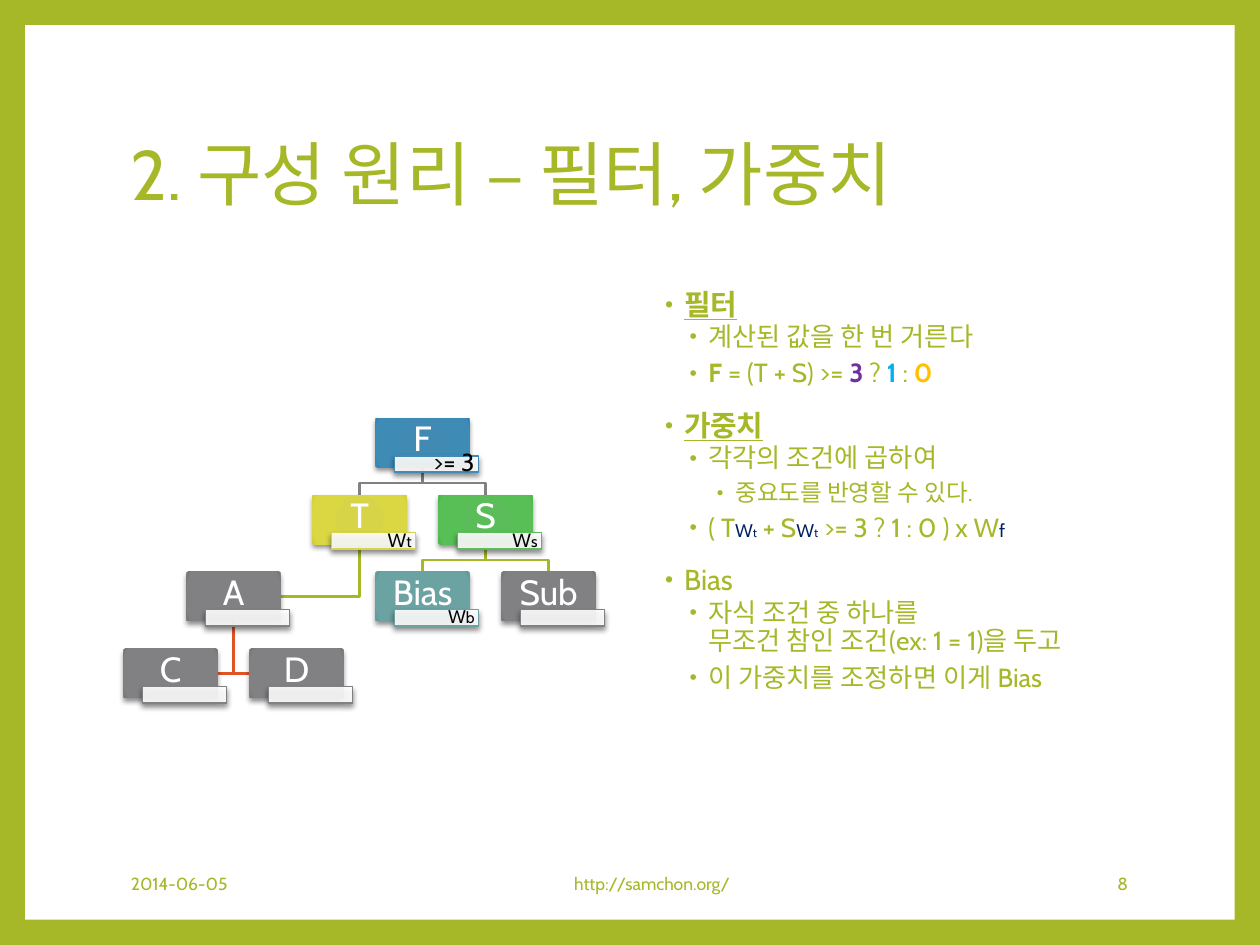
"""Build the slide on filters and weights: a condition tree beside a bulleted list."""
from dataclasses import dataclass

from lxml.etree import SubElement
from pptx import Presentation
from pptx.dml.color import RGBColor
from pptx.enum.shapes import MSO_SHAPE
from pptx.enum.text import MSO_ANCHOR, MSO_AUTO_SIZE, PP_ALIGN
from pptx.oxml.ns import qn
from pptx.util import Cm, Pt

FONT = "Cabin"
GREEN = RGBColor(0xA6, 0xB7, 0x27)
WHITE = RGBColor(0xFF, 0xFF, 0xFF)
BLACK = RGBColor(0x00, 0x00, 0x00)
NAVY = RGBColor(0x00, 0x20, 0x60)
PURPLE = RGBColor(0x70, 0x30, 0xA0)
SKY = RGBColor(0x00, 0xB0, 0xF0)
AMBER = RGBColor(0xFF, 0xC0, 0x00)
ORANGE = RGBColor(0xDF, 0x53, 0x27)
GRAY = RGBColor(0x81, 0x81, 0x83)
GRAYS = (GRAY, GRAY, RGBColor(0x75, 0x75, 0x77))
BLUES = (RGBColor(0x41, 0x8A, 0xB3), RGBColor(0x3E, 0x8B, 0xB6), RGBColor(0x31, 0x80, 0xAD))
YELLOWS = (RGBColor(0xD7, 0xD4, 0x47), RGBColor(0xDB, 0xD7, 0x43), RGBColor(0xD0, 0xCD, 0x33))
LEAVES = (RGBColor(0x5A, 0xBD, 0x59), RGBColor(0x57, 0xBF, 0x56), RGBColor(0x49, 0xB4, 0x47))
TEALS = (RGBColor(0x6C, 0xA1, 0xA0), RGBColor(0x6B, 0xA2, 0xA2), RGBColor(0x5D, 0x97, 0x96))

NODE_WIDTH, NODE_HEIGHT = Cm(1.9), Cm(0.99)
TREE_LEFT, TREE_TOP = Cm(2.49), Cm(8.43)
COLUMN_STEP, ROW_STEP = Cm(1.27), Cm(1.55)


@dataclass(frozen=True)
class Span:
    text: str
    size: float
    color: RGBColor = GREEN
    bold: bool = False
    underline: bool = False


@dataclass(frozen=True)
class Level:
    indent: float
    before: float
    after: float


@dataclass(frozen=True)
class Node:
    label: str
    column: int
    row: int
    colors: tuple
    tag: tuple = ()

    @property
    def left(self) -> int:
        return TREE_LEFT + self.column * COLUMN_STEP

    @property
    def top(self) -> int:
        return TREE_TOP + self.row * ROW_STEP

    @property
    def center(self) -> int:
        return self.left + NODE_WIDTH // 2


LEVELS = (Level(0.48, 10, 0), Level(0.97, 1.5, 3), Level(1.52, 1.5, 3))

NODES = {node.label: node for node in (
    Node("F", 4, 0, BLUES, (Span(">= 3", 14, BLACK),)),
    Node("T", 3, 1, YELLOWS, (Span("W", 11, BLACK), Span("t", 9, BLACK))),
    Node("A", 1, 2, GRAYS),
    Node("C", 0, 3, GRAYS),
    Node("D", 2, 3, GRAYS),
    Node("S", 5, 1, LEAVES, (Span("W", 11, BLACK), Span("s", 9, BLACK))),
    Node("Bias", 4, 2, TEALS, (Span("W", 10.5, BLACK), Span("b", 9, BLACK))),
    Node("Sub", 6, 2, GRAYS),
)}

BRANCHES = (("S", "Sub", GREEN), ("S", "Bias", GREEN), ("F", "S", GRAY), ("F", "T", GRAY))
SIDE_BRANCHES = (("A", "D", ORANGE), ("A", "C", ORANGE), ("T", "A", GREEN))

WEIGHT = (Span("W", 10.5, NAVY), Span("t", 7, NAVY))
LINES = (
    (0, (Span("필터", 16.5, bold=True, underline=True),)),
    (1, (Span("계산된 값을 한 번 거른다", 15),)),
    (1, (Span("F", 15, bold=True), Span(" = (T + S) >= ", 15), Span("3", 15, PURPLE, True),
         Span(" ? ", 15), Span("1", 15, SKY, True), Span(" : ", 15), Span("0", 15, AMBER, True))),
    (0, (Span("가중치", 16.5, bold=True, underline=True),)),
    (1, (Span("각각의 조건에 곱하여", 15),)),
    (2, (Span("중요도를 반영할 수 있다.", 13.5),)),
    (1, (Span("( T", 15), *WEIGHT, Span(" + S", 15), *WEIGHT,
         Span(" >= 3 ? 1 : 0 ) x W", 15), Span("f", 10.5, NAVY))),
    (0, (Span("Bias", 16.5),)),
    (1, (Span("자식 조건 중 하나를\n무조건 참인 조건(ex: 1 = 1)을 두고", 15),)),
    (1, (Span("이 가중치를 조정하면 이게 Bias", 15),)),
)

FOOTERS = (
    ("2014-06-05", 2.39, 4.85, PP_ALIGN.LEFT),
    ("http://samchon.org/", 8.23, 9.83, PP_ALIGN.CENTER),
    ("8", 19.43, 3.56, PP_ALIGN.RIGHT),
)


def write_spans(para, spans: tuple, align=PP_ALIGN.LEFT, spacing: float = 0.9) -> None:
    """Fill a paragraph with formatted runs."""
    para.alignment, para.line_spacing = align, spacing
    for span in spans:
        for index, piece in enumerate(span.text.split("\n")):
            if index:
                para.add_line_break()
                SubElement(para._p[-1], qn("a:rPr"), sz=str(int(span.size * 100)))
            run = para.add_run()
            run.text = piece
            font = run.font
            font.name, font.size, font.color.rgb = FONT, Pt(span.size), span.color
            font.bold, font.underline = span.bold, span.underline


def set_frame(frame, margins: tuple, anchor=MSO_ANCHOR.MIDDLE) -> None:
    """Set wrapping, anchor and left, top, right and bottom margins in centimetres."""
    frame.word_wrap, frame.auto_size, frame.vertical_anchor = True, MSO_AUTO_SIZE.NONE, anchor
    frame.margin_left, frame.margin_top, frame.margin_right, frame.margin_bottom = map(Cm, margins)


def add_box(slide, left: int, top: int, width: int, height: int, fill: RGBColor):
    """Add a flat rectangle without outline."""
    box = slide.shapes.add_shape(MSO_SHAPE.RECTANGLE, left, top, width, height)
    box.shadow.inherit = False
    box.fill.solid()
    box.fill.fore_color.rgb = fill
    box.line.fill.background()
    return box


def add_color(parent, color: RGBColor, alpha: int = 100) -> None:
    """Append an RGB colour with an opacity in percent."""
    element = SubElement(parent, qn("a:srgbClr"), val=str(color))
    if alpha < 100:
        SubElement(element, qn("a:alpha"), val=str(alpha * 1000))


def cast_shadow(box) -> None:
    """Give a box a soft shadow straight below it."""
    effects = box._element.spPr.find(qn("a:effectLst"))
    shadow = SubElement(effects, qn("a:outerShdw"), blurRad=str(Pt(3)), dist=str(Pt(2)),
                        dir="5400000", rotWithShape="0")
    add_color(shadow, BLACK, 45)


def shade(box, colors: tuple) -> None:
    """Swap the solid fill for a radial gradient."""
    properties = box._element.spPr
    solid = properties.find(qn("a:solidFill"))
    gradient = SubElement(properties, qn("a:gradFill"), rotWithShape="1")
    stops = SubElement(gradient, qn("a:gsLst"))
    for position, color in zip((0, 90, 100), colors):
        add_color(SubElement(stops, qn("a:gs"), pos=str(position * 1000)), color)
    circle = SubElement(gradient, qn("a:path"), path="circle")
    SubElement(circle, qn("a:fillToRect"), l="100000", t="100000", r="100000", b="100000")
    properties.replace(solid, gradient)


def draw_node(slide, node: Node) -> None:
    """Draw a condition with its small weight tag."""
    box = add_box(slide, node.left, node.top, NODE_WIDTH, NODE_HEIGHT, node.colors[0])
    shade(box, node.colors)
    cast_shadow(box)
    set_frame(box.text_frame, (0.03, 0.03, 0.03, 0.13))
    write_spans(box.text_frame.paragraphs[0], (Span(node.label, 20, WHITE),), PP_ALIGN.CENTER)
    tag = add_box(slide, node.left + Cm(0.38), node.top + Cm(0.76), Cm(1.7), Cm(0.33), WHITE)
    color = tag._element.spPr.find(qn("a:solidFill"))[0]
    SubElement(color, qn("a:alpha"), val="90000")
    tag.line.color.rgb, tag.line.width = node.colors[0], Pt(0.79)
    cast_shadow(tag)
    set_frame(tag.text_frame, (0.08, 0.03, 0.08, 0.03))
    write_spans(tag.text_frame.paragraphs[0], node.tag, PP_ALIGN.RIGHT)


def draw_branch(slide, parent: Node, child: Node, color: RGBColor, sideways: bool) -> None:
    """Draw a bent line from under a parent to the top or the near side of a child."""
    start = (parent.center, parent.top + NODE_HEIGHT)
    if sideways:
        middle = child.top + NODE_HEIGHT // 2
        side = child.left + (NODE_WIDTH if child.column < parent.column else 0)
        points = [(parent.center, middle), (side, middle)]
    else:
        bend = start[1] + Cm(0.32)
        points = [(parent.center, bend), (child.center, bend), (child.center, child.top)]
    builder = slide.shapes.build_freeform(*start)
    builder.add_line_segments(points, close=False)
    branch = builder.convert_to_shape()
    branch.shadow.inherit = False
    branch.fill.background()
    branch.line.color.rgb, branch.line.width = color, Pt(1.5)


def write_line(para, depth: int, spans: tuple, first: bool) -> None:
    """Write one bulleted line of the list."""
    level = LEVELS[depth]
    para.level = depth
    properties = para._p.get_or_add_pPr()
    properties.set("marL", str(Cm(level.indent)))
    properties.set("indent", str(Cm(-0.38)))
    add_color(SubElement(properties, qn("a:buClr")), GREEN)
    SubElement(properties, qn("a:buSzPct"), val="80000")
    SubElement(properties, qn("a:buFont"), typeface="Arial")
    SubElement(properties, qn("a:buChar"), char="•")
    para.space_before, para.space_after = Pt(0 if first else level.before), Pt(level.after)
    write_spans(para, spans)


def place(shape, left: float, top: float, width: float, height: float) -> None:
    """Move and size a placeholder in centimetres."""
    shape.left, shape.top, shape.width, shape.height = map(Cm, (left, top, width, height))


def main() -> None:
    """Build and save the deck."""
    deck = Presentation()
    deck.slide_width, deck.slide_height = Cm(25.4), Cm(19.05)
    page = deck.slides.add_slide(deck.slide_layouts[1])
    page.background.fill.solid()
    page.background.fill.fore_color.rgb = GREEN
    panel = add_box(page, Cm(0.51), Cm(0.51), Cm(24.38), Cm(18.03), WHITE)
    page.shapes._spTree.insert(2, panel._element)

    title, body = page.shapes.title, page.placeholders[1]
    place(title, 2.39, 1.7, 20.57, 3.76)
    set_frame(title.text_frame, (0.25, 0.13, 0.25, 0.13))
    write_spans(title.text_frame.paragraphs[0], (Span("2. 구성 원리 – 필터, 가중치", 40),))

    for branches, sideways in ((BRANCHES, False), (SIDE_BRANCHES, True)):
        for parent, child, color in branches:
            draw_branch(page, NODES[parent], NODES[child], color, sideways)
    for node in NODES.values():
        draw_node(page, node)

    place(body, 13.06, 5.72, 9.91, 11.18)
    frame = body.text_frame
    set_frame(frame, (0.25, 0.13, 0.25, 0.13), MSO_ANCHOR.TOP)
    for index, (depth, spans) in enumerate(LINES):
        para = frame.add_paragraph() if index else frame.paragraphs[0]
        write_line(para, depth, spans, index == 0)

    for text, left, width, align in FOOTERS:
        box = page.shapes.add_textbox(Cm(left), Cm(17.3), Cm(width), Cm(1.02))
        set_frame(box.text_frame, (0.25, 0.13, 0.25, 0.13))
        write_spans(box.text_frame.paragraphs[0], (Span(text, 10),), align, 1.0)
    deck.save("out.pptx")


if __name__ == "__main__":
    main()
